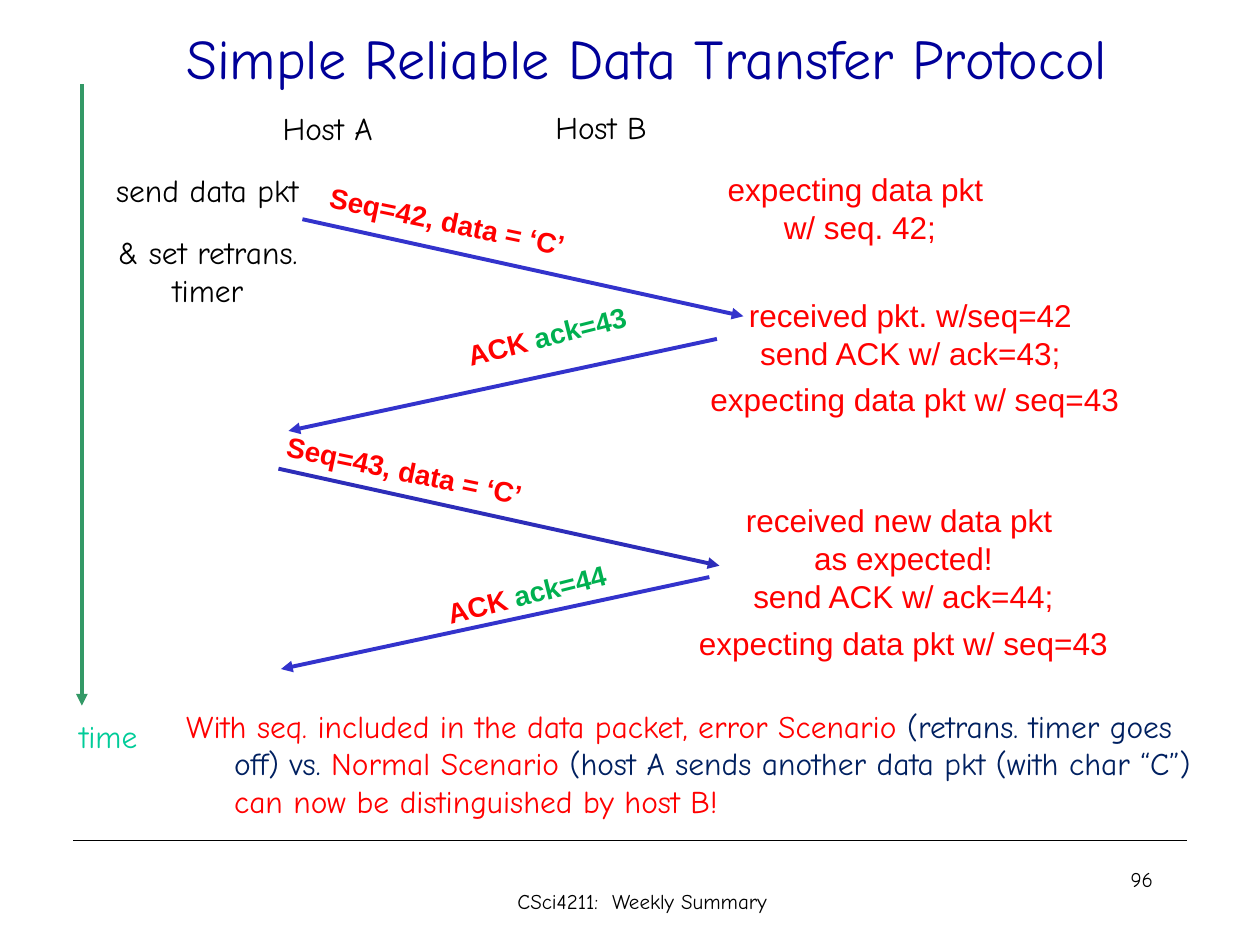
import pptx
import pptx.dml.color
import pptx.enum.shapes
import pptx.enum.text
import pptx.oxml.ns
import pptx.util
from lxml import etree

Inches = pptx.util.Inches
RGBColor = pptx.dml.color.RGBColor
ALIGN = pptx.enum.text.PP_ALIGN

BLACK = RGBColor(0x00, 0x00, 0x00)
TITLE_BLUE = RGBColor(0x00, 0x00, 0x99)
RED = RGBColor(0xFF, 0x00, 0x00)
NAVY = RGBColor(0x00, 0x20, 0x60)
GREEN = RGBColor(0x00, 0xB0, 0x50)
TIME_GREEN = RGBColor(0x00, 0xCC, 0x99)
AXIS_GREEN = RGBColor(0x33, 0x99, 0x66)
ARROW_BLUE = RGBColor(0x33, 0x33, 0xCC)
DARK_ARROW_BLUE = RGBColor(0x2D, 0x2D, 0xB9)
HAND_FONT = "Comic Neue"
PLAIN_FONT = "Arial"


def add_text(slide, box, lines, color=BLACK, size=18, name=HAND_FONT,
             align=ALIGN.CENTER, bold=False, wrap=False, rotation=0):
    """Add a text box; a line is a string or a list of (text, color) runs."""
    shape = slide.shapes.add_textbox(*map(Inches, box))
    shape.rotation = rotation
    frame = shape.text_frame
    frame.word_wrap = wrap
    for index, line in enumerate(lines):
        paragraph = frame.paragraphs[0] if index == 0 else frame.add_paragraph()
        paragraph.alignment = align
        font = paragraph.font
        font.name, font.size, font.bold = name, pptx.util.Pt(size), bold
        if isinstance(line, str):
            paragraph.add_run().text = line
            font.color.rgb = color
        else:
            for text, run_color in line:
                run = paragraph.add_run()
                run.text = text
                run.font.color.rgb = run_color
    return shape


def add_line(slide, start, end, color, width=2.25, arrow=True):
    """Add a straight line, with an arrowhead at its end if asked."""
    connector = slide.shapes.add_connector(
        pptx.enum.shapes.MSO_CONNECTOR.STRAIGHT, *map(Inches, (*start, *end)))
    connector.line.color.rgb = color
    connector.line.width = pptx.util.Pt(width)
    qn = pptx.oxml.ns.qn
    if arrow:
        etree.SubElement(connector.line._get_or_add_ln(), qn("a:tailEnd"), type="triangle")
    etree.SubElement(connector._element.spPr, qn("a:effectLst"))


def add_title(slide, box):
    """Add the slide title."""
    shape = add_text(slide, box, ["Simple Reliable Data Transfer Protocol "],
                     TITLE_BLUE, 32, wrap=True)
    shape.text_frame.vertical_anchor = pptx.enum.text.MSO_ANCHOR.MIDDLE


def add_time_axis(slide, left, top, height):
    """Add the downward time arrow and its label."""
    bottom = top + height
    add_line(slide, (left, top), (left, bottom), AXIS_GREEN)
    add_text(slide, (left - 0.15, bottom + 0.04, 0.72, 0.4), ["time"], TIME_GREEN)


def add_sender(slide, left, top):
    """Add the sending host's name and actions."""
    add_text(slide, (left + 1.36, top, 1.02, 0.4), ["Host A"])
    add_text(slide, (left + 0.01, top + 0.49, 1.81, 0.4), ["send data pkt"])
    add_text(slide, (left, top + 0.98, 1.84, 0.71), ["& set retrans.", "timer"])


def add_receiver(slide, left, top):
    """Add the receiving host's name and its state after each packet."""
    add_text(slide, (left, top, 1, 0.4), ["Host B"])
    states = [
        ((1.11, 0.49, 2.89, 1.01), ["expecting data pkt ", "w/ seq. 42;"], False),
        ((1.18, 1.49, 3.55, 1.08), ["received pkt. w/seq=42", "send ACK w/ ack=43;",
                                    " expecting data pkt w/ seq=43"], True),
        ((1.16, 3.12, 3.48, 1.38), ["received new data pkt ", "as expected!",
                                    "send ACK w/ ack=44;",
                                    "expecting data pkt w/ seq=43"], True),
    ]
    for (x, y, width, height), lines, spaced in states:
        shape = add_text(slide, (left + x, top + y, width, height), lines,
                         RED, name=PLAIN_FONT, wrap=not spaced)
        if spaced:
            shape.text_frame.paragraphs[-1].space_before = pptx.util.Pt(5)


def add_data_message(slide, left, top, label_offset, sequence, color):
    """Add a data packet going from host A to host B."""
    add_line(slide, (left, top), (left + 3.5, top + 0.77), color)
    add_text(slide, (left + label_offset, top - 0.17, 2.22, 0.37),
             [f"Seq={sequence}, data = ‘C’"], RED, 16, PLAIN_FONT,
             bold=True, rotation=11.8)


def add_ack_message(slide, left, top, label_top, number):
    """Add an acknowledgement going from host B back to host A."""
    add_line(slide, (left + 3.4, top), (left, top + 0.73), ARROW_BLUE)
    add_text(slide, (left + 1.3 - 0.1 * (number - 43), top + label_top, 1.5, 0.37),
             [[("ACK ", RED), (f"ack={number}", GREEN)]], size=16,
             name=PLAIN_FONT, bold=True, rotation=345.9)


def add_conclusion(slide, box):
    """Add the closing remark with a hanging indent."""
    runs = [
        ("With seq. included in the data packet, error Scenario ", RED),
        ("(retrans. timer goes off) vs. ", NAVY),
        ("Normal Scenario ", RED),
        ("(host A sends another data pkt (with char “C”) ", NAVY),
        ("can now be distinguished by host B!", RED),
    ]
    shape = add_text(slide, box, [runs], align=ALIGN.LEFT, wrap=True)
    properties = shape.text_frame.paragraphs[0]._p.get_or_add_pPr()
    properties.set("marL", str(Inches(0.38)))
    properties.set("indent", str(Inches(-0.38)))


def add_footer(slide, left, top, width):
    """Add the rule, the course name and the slide number."""
    add_line(slide, (left, top), (left + width, top), BLACK, 0.75, arrow=False)
    add_text(slide, (left + 2.92, top + 0.33, 3.25, 0.5),
             ["CSci4211:  Weekly Summary "], size=12, wrap=True)
    add_text(slide, (left + 6.59, top + 0.16, 2.08, 0.5), ["96"],
             size=12, align=ALIGN.RIGHT, wrap=True)


def main():
    """Build and save the slide."""
    presentation = pptx.Presentation()
    presentation.slide_width, presentation.slide_height = Inches(10), Inches(7.5)
    slide = presentation.slides.add_slide(presentation.slide_layouts[6])
    add_footer(slide, 0.58, 6.67, 8.84)
    add_title(slide, (0.67, -0.17, 9.08, 1.25))
    add_conclusion(slide, (1.38, 5.56, 8.23, 1.1))
    add_time_axis(slide, 0.65, 0.67, 4.93)
    add_sender(slide, 0.73, 0.82)
    add_data_message(slide, 2.4, 1.74, 0.04, 42, ARROW_BLUE)
    add_ack_message(slide, 2.29, 2.69, -0.21, 43)
    add_data_message(slide, 2.21, 3.72, -0.11, 43, DARK_ARROW_BLUE)
    add_ack_message(slide, 2.23, 4.58, -0.05, 44)
    add_receiver(slide, 4.27, 0.81)
    presentation.save("out.pptx")


if __name__ == "__main__":
    main()
